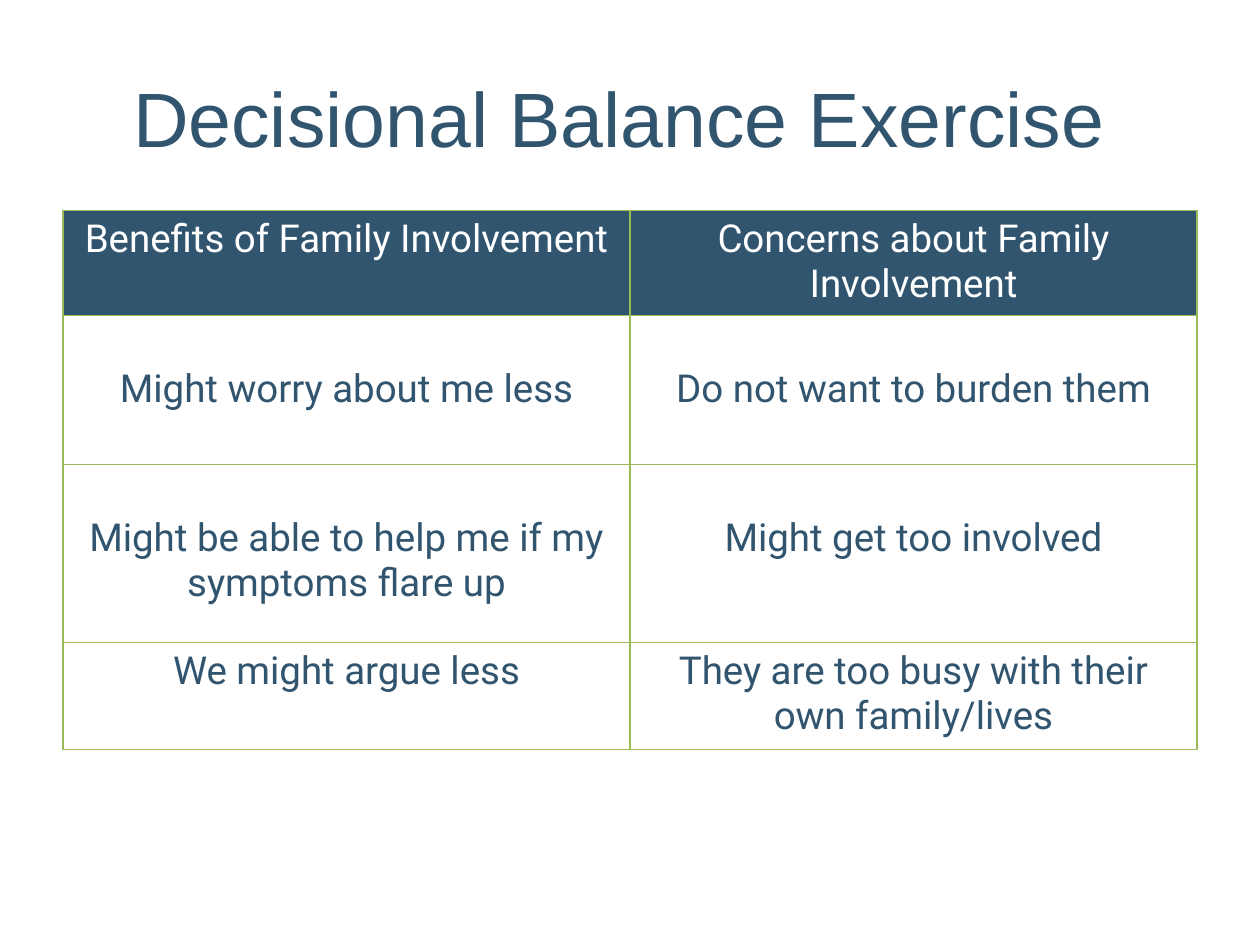
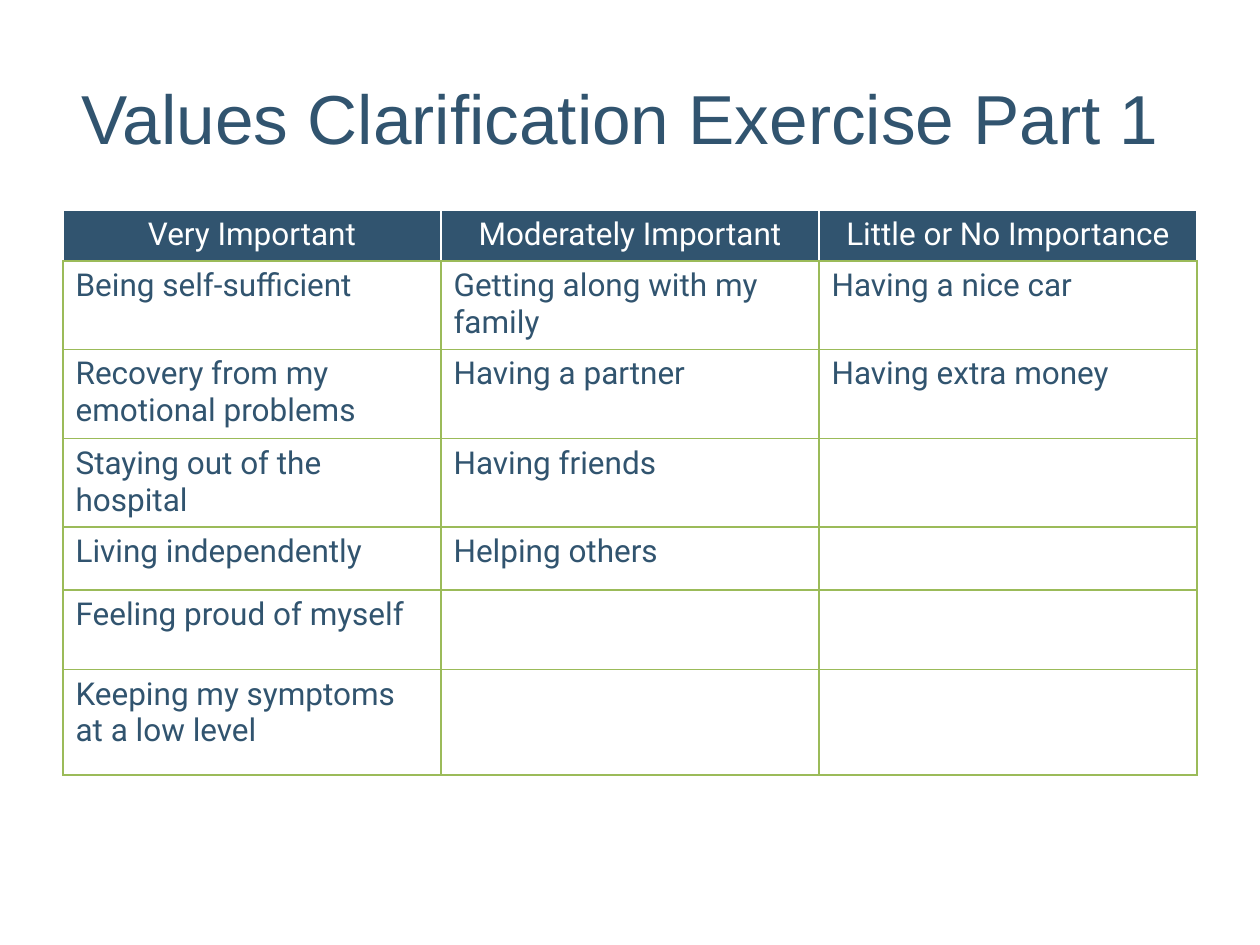
from lxml.etree import SubElement
from pptx import Presentation
from pptx.dml.color import RGBColor
from pptx.enum.text import MSO_ANCHOR, PP_ALIGN
from pptx.oxml.ns import qn
from pptx.util import Cm, Pt

NAVY, GREEN, WHITE = "31546F", "9BBB59", "FFFFFF"
TITLE_FONT, TABLE_FONT = "Arial", "Roboto"
LEFT, CONTENT_WIDTH = 1.27, 22.86
TITLE_TOP, TITLE_HEIGHT, TABLE_TOP = 0.76, 3.18, 4.24
CELL_TOP, LOWERED_TOP = 0.13, 1.03

BALANCE_ROWS = [
    ("Benefits of Family Involvement", "Concerns about Family Involvement"),
    ("Might worry about me less", "Do not want to burden them"),
    ("Might be able to help me if my symptoms flare up", "Might get too involved"),
    ("We might argue less", "They are too busy with their own family/lives"),
]
BALANCE_HEIGHTS = [2.08, 3, 3.59, 2.16]
LOWERED_ROWS = (1, 2)

VALUES_ROWS = [
    ("Very Important", "Moderately Important", "Little or No Importance"),
    ("Being self-sufficient", "Getting along with my family", "Having a nice car"),
    ("Recovery from my emotional problems", "Having a partner", "Having extra money"),
    ("Staying out of the hospital", "Having friends", ""),
    ("Living independently", "Helping others", ""),
    ("Feeling proud of myself", "", ""),
    ("Keeping my symptoms at a low level", "", ""),
]
VALUES_HEIGHTS = [1, 1.74, 1.8, 1.73, 1.27, 1.6, 2.13]


def color(code):
    """Turn a hex string into a colour."""
    return RGBColor.from_string(code)


def write(paragraph, words, font, size, ink, align):
    """Add one styled run to an aligned paragraph."""
    paragraph.alignment = align
    run = paragraph.add_run()
    run.text = words
    run.font.name = font
    run.font.size = Pt(size)
    run.font.bold = False
    run.font.color.rgb = color(ink)


def add_title(slide, words, size):
    """Add the centred slide title."""
    title = slide.shapes.add_textbox(
        Cm(LEFT), Cm(TITLE_TOP), Cm(CONTENT_WIDTH), Cm(TITLE_HEIGHT))
    frame = title.text_frame
    frame.word_wrap = True
    frame.vertical_anchor = MSO_ANCHOR.MIDDLE
    write(frame.paragraphs[0], words, TITLE_FONT, size, NAVY, PP_ALIGN.CENTER)


def set_borders(cell, edge, bottom):
    """Draw one-point borders, with a separate colour for the bottom."""
    properties = cell._tc.get_or_add_tcPr()
    for side, ink in (("L", edge), ("R", edge), ("T", edge), ("B", bottom)):
        line = SubElement(properties, qn(f"a:ln{side}"), w=str(Pt(1)))
        fill = SubElement(line, qn("a:solidFill"))
        SubElement(fill, qn("a:srgbClr"), val=ink)


def add_exercise_table(slide, rows, heights, size, body_align,
                       header_edge=GREEN, lowered_rows=()):
    """Add a table with a navy header, green rules and equal columns."""
    columns = len(rows[0])
    table = slide.shapes.add_table(
        len(rows), columns, Cm(LEFT), Cm(TABLE_TOP),
        Cm(CONTENT_WIDTH), Cm(sum(heights))).table
    table.horz_banding = False
    for column in table.columns:
        column.width = Cm(CONTENT_WIDTH / columns)
    for row_index, (answers, height) in enumerate(zip(rows, heights)):
        table.rows[row_index].height = Cm(height)
        is_header = row_index == 0
        for column_index, answer in enumerate(answers):
            cell = table.cell(row_index, column_index)
            cell.margin_top = Cm(LOWERED_TOP if row_index in lowered_rows else CELL_TOP)
            set_borders(cell, header_edge if is_header else GREEN, GREEN)
            if is_header:
                cell.fill.solid()
                cell.fill.fore_color.rgb = color(NAVY)
            else:
                cell.fill.background()
            if answer:
                write(cell.text_frame.paragraphs[0], answer, TABLE_FONT, size,
                      WHITE if is_header else NAVY,
                      PP_ALIGN.CENTER if is_header else body_align)


def main():
    """Build both exercise slides."""
    deck = Presentation()
    deck.slide_width, deck.slide_height = Cm(25.4), Cm(19.05)
    blank = deck.slide_layouts[6]

    balance = deck.slides.add_slide(blank)
    add_title(balance, "Decisional Balance Exercise ", 44)
    add_exercise_table(balance, BALANCE_ROWS, BALANCE_HEIGHTS, 22,
                       PP_ALIGN.CENTER, lowered_rows=LOWERED_ROWS)

    values = deck.slides.add_slide(blank)
    add_title(values, "Values Clarification Exercise Part 1 ", 39.6)
    add_exercise_table(values, VALUES_ROWS, VALUES_HEIGHTS, 18,
                       PP_ALIGN.LEFT, header_edge=WHITE)

    deck.save("out.pptx")


if __name__ == "__main__":
    main()
